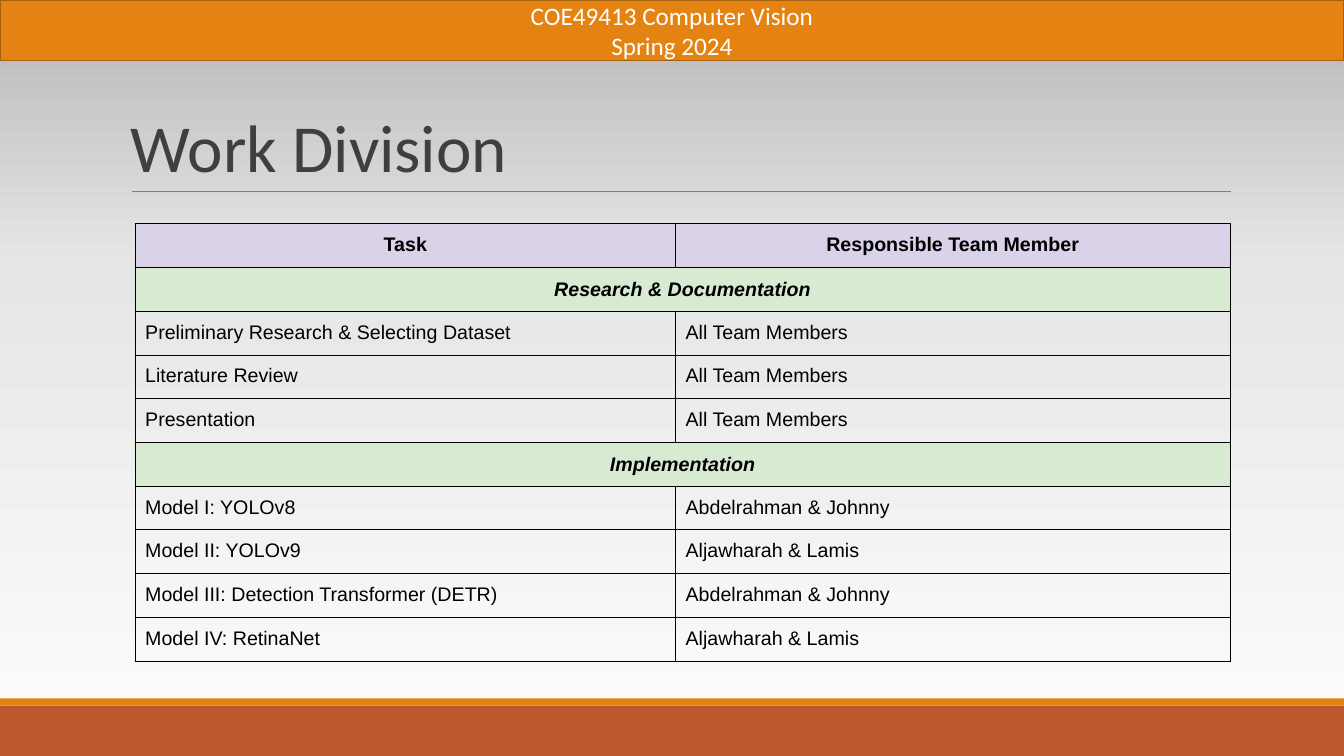
from copy import deepcopy

from lxml.etree import SubElement
from pptx import Presentation
from pptx.dml.color import RGBColor
from pptx.enum.shapes import MSO_CONNECTOR, MSO_SHAPE
from pptx.enum.text import MSO_ANCHOR, PP_ALIGN
from pptx.oxml import parse_xml
from pptx.oxml.ns import nsdecls, qn
from pptx.util import Inches, Pt

WHITE = RGBColor(0xFF, 0xFF, 0xFF)
BLACK = RGBColor(0x00, 0x00, 0x00)
CHARCOAL = RGBColor(0x3F, 0x3F, 0x3F)
GRAY = RGBColor(0x7F, 0x7F, 0x7F)
ORANGE = RGBColor(0xE4, 0x83, 0x12)
DARK_ORANGE = RGBColor(0xA6, 0x5F, 0x0D)
RUST = RGBColor(0xBD, 0x58, 0x2C)
LILAC = RGBColor(0xD9, 0xD2, 0xE9)
MINT = RGBColor(0xD9, 0xEA, 0xD3)
BACKGROUND_STOPS = [
    (0, RGBColor(0xFD, 0xFD, 0xFD)),
    (0.65, RGBColor(0xE6, 0xE6, 0xE6)),
    (1, RGBColor(0xB6, 0xB6, 0xB6)),
]

SLIDE_WIDTH = 13.33
ROW_HEIGHT = 0.42
COLUMN_WIDTHS = [5.36, 5.5]
HEADINGS = ["Task", "Responsible Team Member"]
SECTIONS = {
    "Research & Documentation": [
        ("Preliminary Research & Selecting Dataset", "All Team Members"),
        ("Literature Review", "All Team Members"),
        ("Presentation", "All Team Members"),
    ],
    "Implementation": [
        ("Model I: YOLOv8", "Abdelrahman & Johnny"),
        ("Model II: YOLOv9", "Aljawharah & Lamis"),
        ("Model III: Detection Transformer (DETR)", "Abdelrahman & Johnny"),
        ("Model IV: RetinaNet", "Aljawharah & Lamis"),
    ],
}


def write_text(frame, text, *, font, size, color, bold=False, italic=False,
               align=PP_ALIGN.LEFT, spacing=1.0):
    for index, line in enumerate(text.split("\n")):
        para = frame.add_paragraph() if index else frame.paragraphs[0]
        para.alignment = align
        para.line_spacing = spacing
        span = para.add_run()
        span.text = line
        span.font.name = font
        span.font.size = Pt(size)
        span.font.color.rgb = color
        span.font.bold = bold
        span.font.italic = italic


def paint_background(page):
    fill = page.background.fill
    fill.gradient()
    fill.gradient_angle = 90
    stop_list = page.element.find(".//" + qn("a:gsLst"))
    stop_list.append(deepcopy(stop_list[0]))
    for stop, (position, color) in zip(fill.gradient_stops, BACKGROUND_STOPS):
        stop.position = position
        stop.color.rgb = color


def add_band(page, top, height, color, outline=None):
    band = page.shapes.add_shape(MSO_SHAPE.RECTANGLE, 0, Inches(top),
                                 Inches(SLIDE_WIDTH), Inches(height))
    band.shadow.inherit = False
    band.fill.solid()
    band.fill.fore_color.rgb = color
    if outline is None:
        band.line.fill.background()
    else:
        band.line.color.rgb = outline
        band.line.width = Pt(1.25)
    return band


def add_rule(page, left, right, top):
    rule = page.shapes.add_connector(MSO_CONNECTOR.STRAIGHT, Inches(left), Inches(top),
                                     Inches(right), Inches(top))
    rule.line.color.rgb = GRAY
    rule.line.width = Pt(0.75)
    SubElement(rule._element.spPr, qn("a:effectLst"))


def add_title(page, text):
    box = page.shapes.add_textbox(Inches(1.2), Inches(0.31), Inches(11), Inches(1.59))
    frame = box.text_frame
    frame.word_wrap = True
    frame.vertical_anchor = MSO_ANCHOR.BOTTOM
    write_text(frame, text, font="Calibri", size=48, color=CHARCOAL, spacing=0.85)


def style_cell(cell, color):
    cell.margin_left = cell.margin_right = Inches(0.1)
    cell.margin_top = cell.margin_bottom = Inches(0.1)
    if color is None:
        cell.fill.background()
    else:
        cell.fill.solid()
        cell.fill.fore_color.rgb = color
    properties = cell._tc.get_or_add_tcPr()
    for index, side in enumerate(("lnL", "lnR", "lnT", "lnB")):
        border = parse_xml(
            f'<a:{side} {nsdecls("a")} w="{Pt(0.75)}"><a:solidFill>'
            f'<a:srgbClr val="{BLACK}"/></a:solidFill></a:{side}>')
        properties.insert(index, border)


def fill_row(table, row, texts, *, color=None, **text_format):
    for column, cell in enumerate(table.rows[row].cells):
        style_cell(cell, color)
        if column < len(texts):
            write_text(cell.text_frame, texts[column], font="Arial", size=14,
                       color=BLACK, **text_format)


def add_work_table(page):
    row_count = 1 + sum(1 + len(tasks) for tasks in SECTIONS.values())
    table = page.shapes.add_table(row_count, len(COLUMN_WIDTHS), Inches(1.34), Inches(2.22),
                                  Inches(sum(COLUMN_WIDTHS)),
                                  Inches(ROW_HEIGHT * row_count)).table
    table.first_row = False
    table.horz_banding = False
    for column, width in zip(table.columns, COLUMN_WIDTHS):
        column.width = Inches(width)
    for table_row in table.rows:
        table_row.height = Inches(ROW_HEIGHT)

    fill_row(table, 0, HEADINGS, color=LILAC, bold=True, align=PP_ALIGN.CENTER)
    row = 1
    for section, tasks in SECTIONS.items():
        fill_row(table, row, [section], color=MINT, bold=True, italic=True,
                 align=PP_ALIGN.CENTER)
        section_cell = table.cell(row, 0)
        section_cell.vertical_anchor = MSO_ANCHOR.MIDDLE
        section_cell.merge(table.cell(row, 1))
        for row, task in enumerate(tasks, row + 1):
            fill_row(table, row, task)
        row += 1


def main():
    deck = Presentation()
    deck.slide_width = Inches(SLIDE_WIDTH)
    deck.slide_height = Inches(7.5)
    page = deck.slides.add_slide(deck.slide_layouts[6])
    paint_background(page)
    add_band(page, 7, 0.5, RUST)
    add_band(page, 6.93, 0.07, ORANGE)
    add_rule(page, 1.31, 12.21, 1.9)
    header = add_band(page, 0, 0.6, ORANGE, outline=DARK_ORANGE)
    header.text_frame.vertical_anchor = MSO_ANCHOR.MIDDLE
    write_text(header.text_frame, "COE49413 Computer Vision\nSpring 2024",
               font="Calibri", size=18, color=WHITE, align=PP_ALIGN.CENTER)
    add_title(page, "Work Division")
    add_work_table(page)
    deck.save("out.pptx")


if __name__ == "__main__":
    main()
